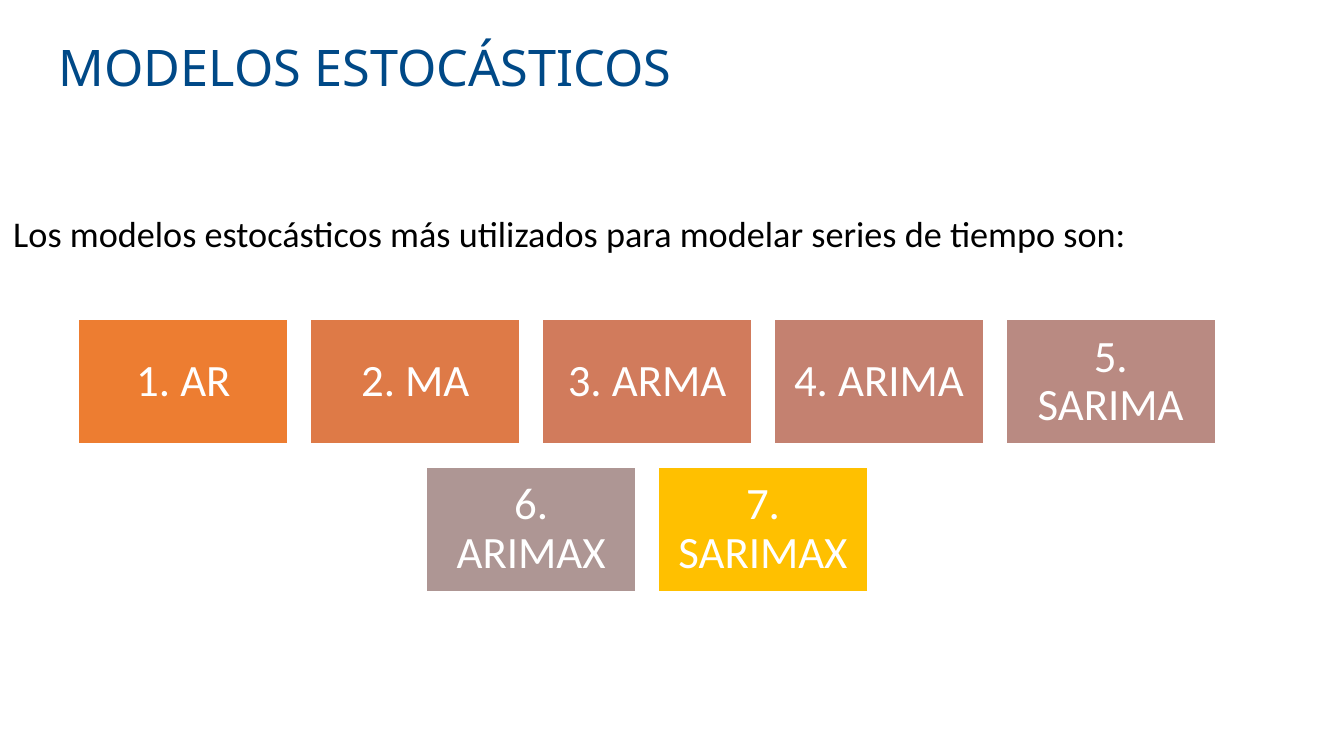
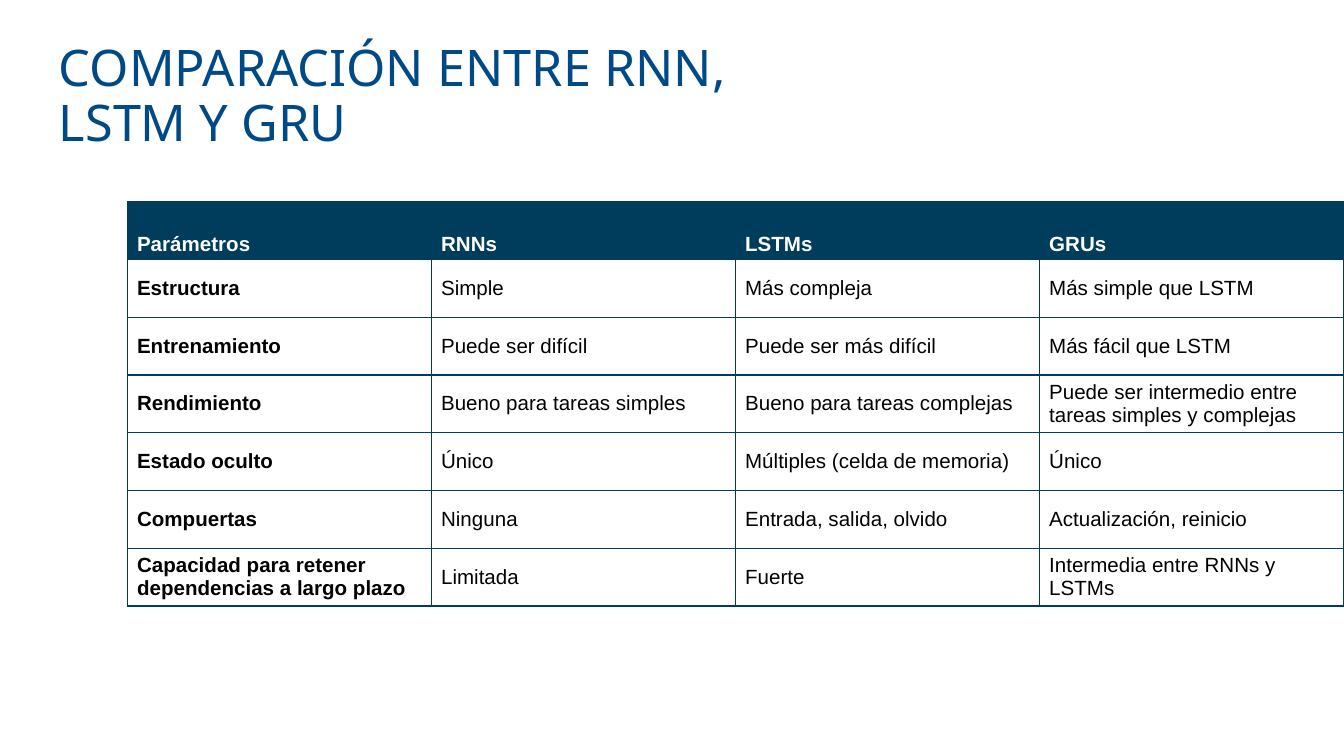
from lxml import etree
from pptx import Presentation
from pptx.dml.color import RGBColor
from pptx.enum import shapes, text
from pptx.oxml import ns
from pptx.util import Inches, Pt

TITLE_BLUE = RGBColor(0x00, 0x49, 0x87)
TABLE_NAVY = RGBColor(0x00, 0x3D, 0x5C)
WHITE = RGBColor(0xFF, 0xFF, 0xFF)
BLACK = RGBColor(0x00, 0x00, 0x00)
MODELS = [
    [
        ("1. AR", RGBColor(0xED, 0x7D, 0x31)),
        ("2. MA", RGBColor(0xDE, 0x7A, 0x47)),
        ("3. ARMA", RGBColor(0xD1, 0x7B, 0x5C)),
        ("4. ARIMA", RGBColor(0xC4, 0x81, 0x70)),
        ("5. SARIMA", RGBColor(0xB9, 0x8A, 0x82)),
    ],
    [
        ("6. ARIMAX", RGBColor(0xAE, 0x96, 0x94)),
        ("7. SARIMAX", RGBColor(0xFF, 0xC0, 0x00)),
    ],
]
COMPARISON = [
    ("Parámetros", "RNNs", "LSTMs", "GRUs"),
    ("Estructura", "Simple", "Más compleja", "Más simple que LSTM"),
    ("Entrenamiento", "Puede ser difícil", "Puede ser más difícil", "Más fácil que LSTM"),
    ("Rendimiento", "Bueno para tareas simples", "Bueno para tareas complejas",
     "Puede ser intermedio entre tareas simples y complejas"),
    ("Estado oculto", "Único", "Múltiples (celda de memoria)", "Único"),
    ("Compuertas", "Ninguna", "Entrada, salida, olvido", "Actualización, reinicio"),
    ("Capacidad para retener dependencias a largo plazo", "Limitada", "Fuerte",
     "Intermedia entre RNNs y LSTMs"),
]


def write(frame, words, font_name, size, color, align=text.PP_ALIGN.LEFT, spacing=0.9):
    frame.text = words
    frame.word_wrap = True
    paragraph = frame.paragraphs[0]
    paragraph.alignment = align
    paragraph.line_spacing = spacing
    font = paragraph.runs[0].font
    font.name = font_name
    font.size = Pt(size)
    font.color.rgb = color
    return font


def add_titled_slide(words):
    slide = prs.slides.add_slide(prs.slide_layouts[6])
    title = slide.shapes.add_textbox(Inches(0.34), Inches(0.22), Inches(6.14), Inches(0.63)).text_frame
    title.margin_left = title.margin_right = title.margin_top = title.margin_bottom = Inches(0.1)
    write(title, words, "Noto Sans", 27, TITLE_BLUE)
    return slide


prs = Presentation()
prs.slide_width = Inches(10)
prs.slide_height = Inches(10 * 9 / 16)

models_slide = add_titled_slide("MODELOS ESTOCÁSTICOS")
intro = models_slide.shapes.add_textbox(0, Inches(1.56), Inches(9.05), Inches(0.52)).text_frame
write(intro, "Los modelos estocásticos más utilizados para modelar series de tiempo son:",
      "Calibri", 19.4, BLACK, text.PP_ALIGN.JUSTIFY)

grid_left, grid_top, grid_width = 0.58, 2.37, 8.47
model_width, model_height, row_pitch = 1.57, 0.94, 1.1
gap = (grid_width - 5 * model_width) / 4
for row_index, row in enumerate(MODELS):
    row_width = len(row) * (model_width + gap) - gap
    row_left = grid_left + (grid_width - row_width) / 2
    for column, (name, color) in enumerate(row):
        model = models_slide.shapes.add_shape(
            shapes.MSO_SHAPE.RECTANGLE,
            Inches(row_left + column * (model_width + gap)), Inches(grid_top + row_index * row_pitch),
            Inches(model_width), Inches(model_height))
        model.shadow.inherit = False
        model.fill.solid()
        model.fill.fore_color.rgb = color
        model.line.color.rgb = WHITE
        model.line.width = Pt(1.5)
        label = model.text_frame
        label.margin_left = label.margin_right = label.margin_top = label.margin_bottom = Inches(0.1)
        label.vertical_anchor = text.MSO_ANCHOR.MIDDLE
        write(label, name, "Calibri", 24, WHITE, text.PP_ALIGN.CENTER)

comparison_slide = add_titled_slide("COMPARACIÓN ENTRE RNN, LSTM Y GRU")
comparison = comparison_slide.shapes.add_table(
    len(COMPARISON), 4, Inches(0.95), Inches(1.5), Inches(9.05), Inches(0.43 * len(COMPARISON))).table
for row_index, row in enumerate(COMPARISON):
    is_header = row_index == 0
    for column, words in enumerate(row):
        cell = comparison.cell(row_index, column)
        cell.margin_left = cell.margin_right = Inches(0.07)
        cell.margin_top = cell.margin_bottom = Inches(0.03)
        cell.vertical_anchor = text.MSO_ANCHOR.BOTTOM if is_header else text.MSO_ANCHOR.MIDDLE
        font = write(cell.text_frame, words, "Arial", 11, WHITE if is_header else BLACK, spacing=1.0)
        font.bold = is_header or column == 0
        properties = cell._tc.get_or_add_tcPr()
        for side in ("a:lnL", "a:lnR", "a:lnT", "a:lnB"):
            border = etree.SubElement(properties, ns.qn(side), w=str(Pt(0.75)))
            border_fill = etree.SubElement(border, ns.qn("a:solidFill"))
            etree.SubElement(border_fill, ns.qn("a:srgbClr"), val=str(TABLE_NAVY))
        cell.fill.solid()
        cell.fill.fore_color.rgb = TABLE_NAVY if is_header else WHITE

prs.save("out.pptx")
